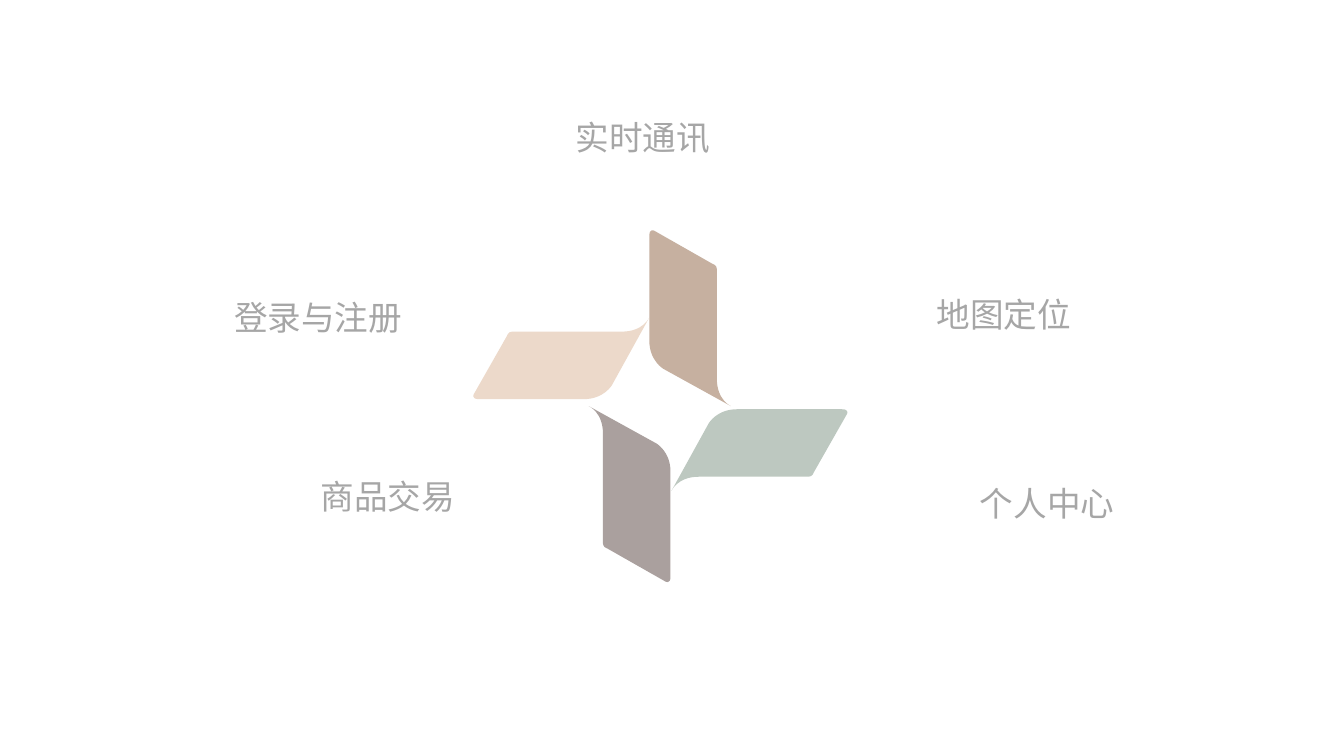
from dataclasses import dataclass

from lxml.etree import SubElement
from pptx import Presentation
from pptx.dml.color import RGBColor
from pptx.enum.text import MSO_AUTO_SIZE as AutoSize, PP_ALIGN as Align
from pptx.oxml.ns import qn
from pptx.shapes.autoshape import Shape
from pptx.slide import Slide
from pptx.util import Inches, Pt

Point = tuple[float, float]

FONT = "Noto Sans CJK SC"
COLORS = {
    "peach": "ECD9CA",
    "tan": "C6B0A0",
    "sage": "BDC8C0",
    "taupe": "AAA09E",
    "label": "A6A6A6",
}

# Left-pointing blade, in inches from its inner tip: three points per cubic
# curve, where a straight edge repeats its end point three times.
BLADE_CURVES: list[Point] = [
    (0, 0), (-0.06, 0.14), (-0.27, 0.14),
    *[(-1.36, 0.14)] * 3,
    (-1.4, 0.14), (-1.41, 0.18), (-1.41, 0.18),
    *[(-1.74, 0.76)] * 3,
    (-1.74, 0.76), (-1.77, 0.81), (-1.69, 0.81),
    *[(-0.65, 0.81)] * 3,
    (-0.45, 0.81), (-0.37, 0.67), (-0.37, 0.67),
]


@dataclass(frozen=True)
class Blade:
    tip_x: float
    tip_y: float
    quarter_turns: int
    color: str


@dataclass(frozen=True)
class Label:
    text: str
    left: float
    top: float
    width: float
    height: float


BLADES = [
    Blade(6.44, 3.15, 0, "peach"),
    Blade(7.25, 4.03, 1, "tan"),
    Blade(6.66, 4.87, 2, "sage"),
    Blade(5.84, 4.03, 3, "taupe"),
]

LABELS = [
    Label("登录与注册", 2.22, 2.9, 1.87, 0.48),
    Label("地图定位", 9.18, 2.87, 1.55, 0.5),
    Label("商品交易", 3.08, 4.67, 1.53, 0.48),
    Label("个人中心", 9.62, 4.74, 1.53, 0.48),
    Label("实时通讯", 5.6, 1.11, 1.55, 0.5),
]


def place_point(blade: Blade, point: Point) -> Point:
    """Turn a point clockwise about the blade's tip and give it in EMU."""
    x, y = point
    for _ in range(blade.quarter_turns):
        x, y = -y, x
    return Inches(blade.tip_x + x), Inches(blade.tip_y + y)


def bend_segments(shape: Shape, point_count: int) -> None:
    """Merge each three of the first line segments into one cubic curve."""
    segments = list(shape._element.iter(qn("a:lnTo")))[:point_count]
    for first, second, third in zip(segments[::3], segments[1::3], segments[2::3]):
        first.tag = qn("a:cubicBezTo")
        for segment in (second, third):
            first.append(segment[0])
            segment.getparent().remove(segment)


def draw_blade(slide: Slide, blade: Blade) -> None:
    tip = place_point(blade, (0, 0))
    curves = [place_point(blade, point) for point in BLADE_CURVES]
    builder = slide.shapes.build_freeform(*tip)
    builder.add_line_segments([*curves, tip], close=True)
    shape = builder.convert_to_shape()
    bend_segments(shape, len(curves))
    shape.shadow.inherit = False
    shape.fill.solid()
    shape.fill.fore_color.rgb = RGBColor.from_string(COLORS[blade.color])
    shape.line.fill.background()


def draw_label(slide: Slide, label: Label) -> None:
    box = slide.shapes.add_textbox(
        Inches(label.left), Inches(label.top), Inches(label.width), Inches(label.height)
    )
    frame = box.text_frame
    frame.text = label.text
    frame.word_wrap = False
    frame.auto_size = AutoSize.SHAPE_TO_FIT_TEXT
    paragraph = frame.paragraphs[0]
    paragraph.alignment = Align.CENTER
    font = paragraph.runs[0].font
    font.size = Pt(24)
    font.color.rgb = RGBColor.from_string(COLORS["label"])
    font.name = FONT
    SubElement(paragraph.runs[0]._r.get_or_add_rPr(), qn("a:ea"), typeface=FONT)


def main() -> None:
    presentation = Presentation()
    presentation.slide_width = Inches(13.33)
    presentation.slide_height = Inches(7.5)
    slide = presentation.slides.add_slide(presentation.slide_layouts[6])
    for blade in BLADES:
        draw_blade(slide, blade)
    for label in LABELS:
        draw_label(slide, label)
    presentation.save("out.pptx")


if __name__ == "__main__":
    main()
